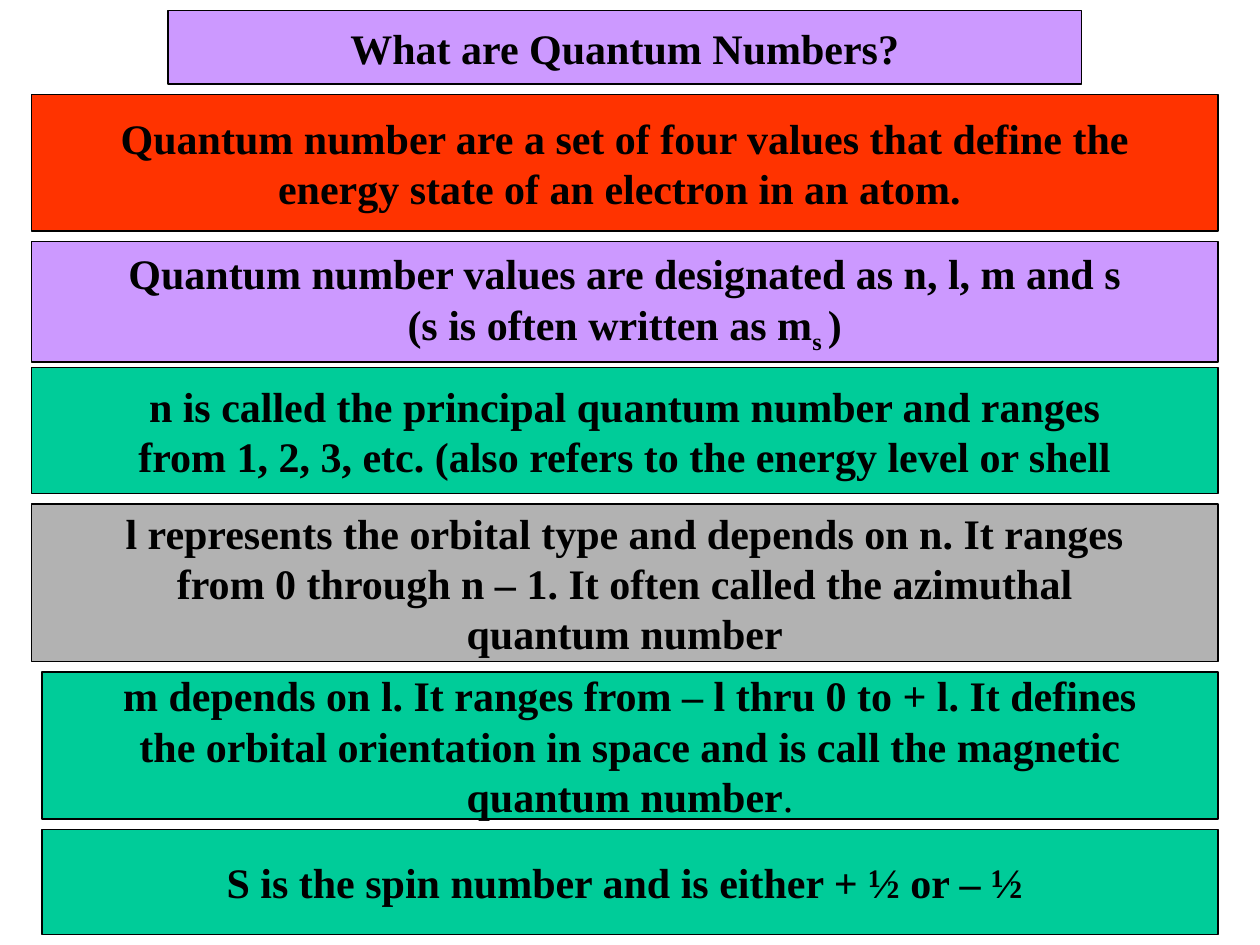
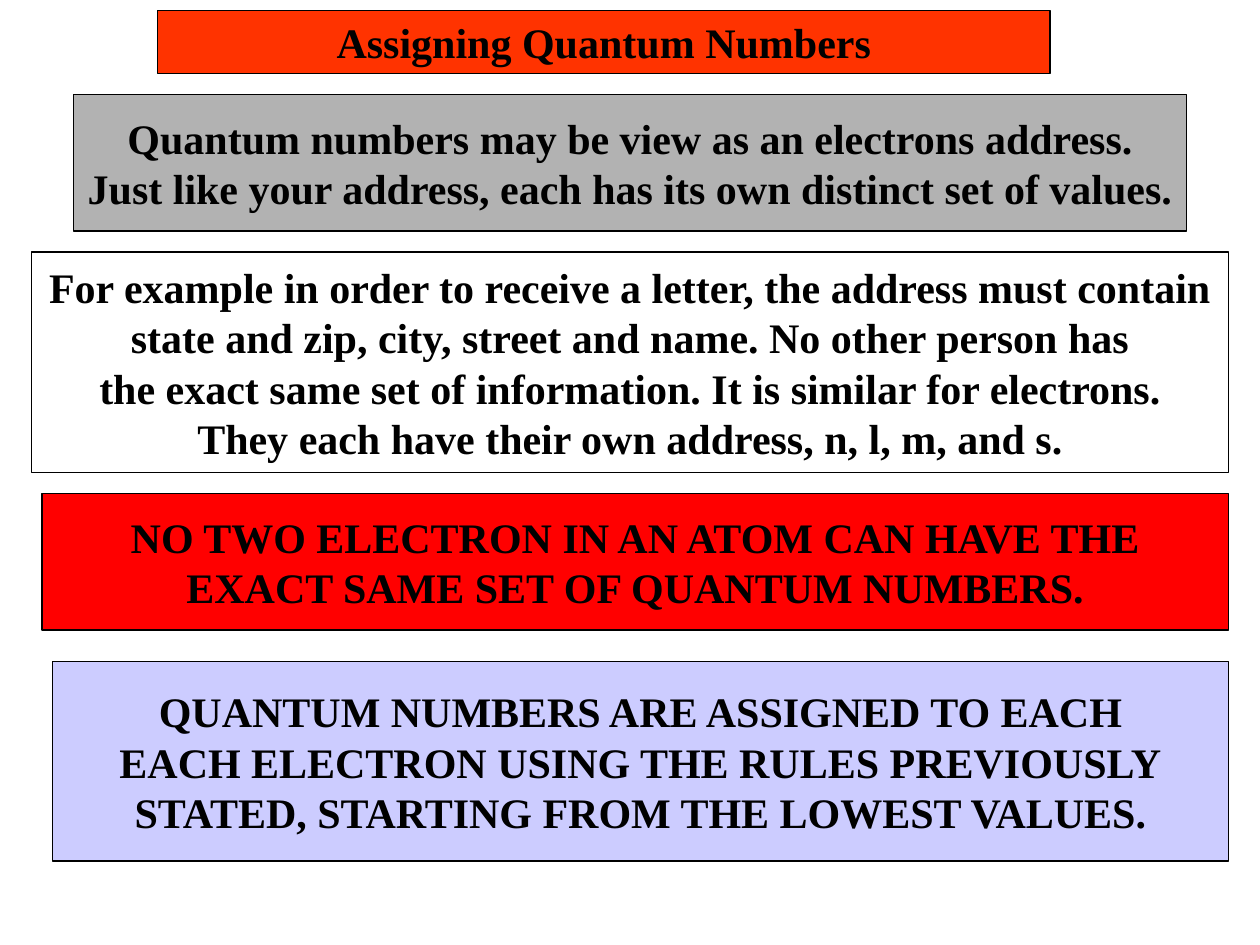
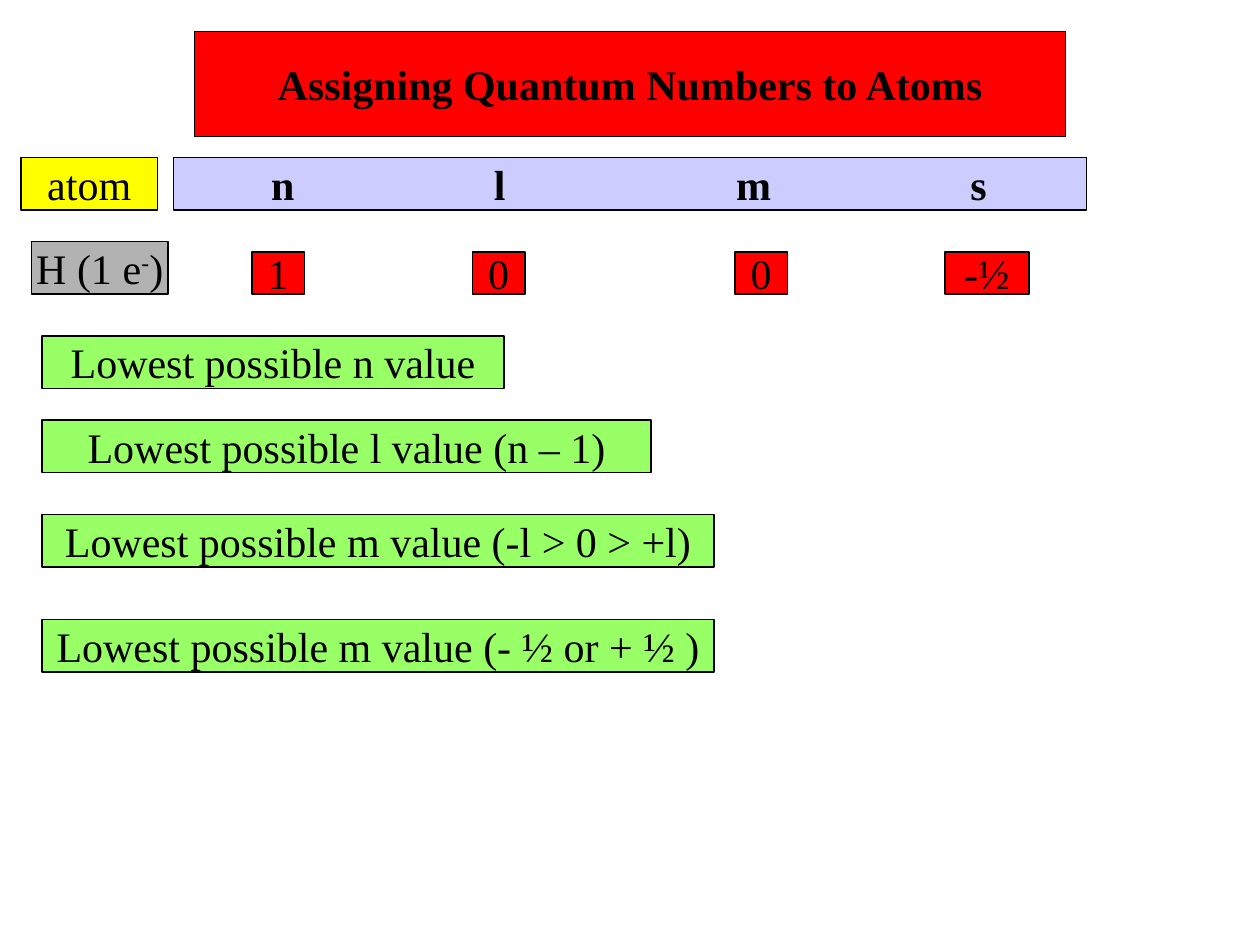
from lxml.etree import SubElement
from pptx import Presentation
from pptx.dml.color import RGBColor
from pptx.enum.shapes import MSO_SHAPE
from pptx.enum.text import MSO_ANCHOR, MSO_AUTO_SIZE, PP_ALIGN
from pptx.oxml.ns import qn
from pptx.util import Pt

COLORS = {
    "black": "000000", "white": "FFFFFF", "violet": "CC99FF", "orange": "FF3300",
    "green": "00CC99", "gray": "B2B2B2", "red": "FF0000", "lavender": "CCCCFF",
    "yellow": "FFFF00", "lime": "99FF66",
}
FONT = "Times New Roman"


def write(frame, lines, bold=False, align=PP_ALIGN.CENTER, wrap=False):
    """Fill the frame; a line is a string or a list of (text, bold, baseline percent) runs."""
    frame.word_wrap = wrap
    frame.auto_size = MSO_AUTO_SIZE.NONE
    frame.vertical_anchor = MSO_ANCHOR.MIDDLE
    for number, line in enumerate(lines):
        paragraph = frame.paragraphs[0] if number == 0 else frame.add_paragraph()
        paragraph.alignment = align
        runs = [(line, bold, 0)] if isinstance(line, str) else line
        for text, run_bold, baseline in runs:
            run = paragraph.add_run()
            run.text = text
            run.font.name = FONT
            run.font.size = Pt(24)
            run.font.bold = run_bold
            run.font.color.rgb = RGBColor.from_string(COLORS["black"])
            if baseline:
                run.font._element.set("baseline", str(baseline * 1000))


def add_panel(slide, place, color, lines, title=False, **text_format):
    """Place a filled, outlined panel, or turn the slide's title into one."""
    left, top, width, height = map(Pt, place)
    if title:
        panel = slide.shapes.title
        panel.left, panel.top, panel.width, panel.height = left, top, width, height
    else:
        panel = slide.shapes.add_shape(MSO_SHAPE.RECTANGLE, left, top, width, height)
        panel.shadow.inherit = False
    panel.fill.solid()
    panel.fill.fore_color.rgb = RGBColor.from_string(COLORS[color])
    panel.line.color.rgb = RGBColor.from_string(COLORS["black"])
    panel.line.width = Pt(0.75)
    write(panel.text_frame, lines, **text_format)
    return panel


prs = Presentation()
prs.slide_width, prs.slide_height = Pt(720), Pt(540)
title_only = prs.slide_layouts[5]

# Title and bold statements of the first two slides
statement_slides = [
    ("What are Quantum Numbers?", (96, 6, 522, 42), "violet", [
        ((18, 54, 678, 78), "orange", [
            "Quantum number are a set of four values that define the",
            "energy state of an electron in an atom. "]),
        ((18, 138, 678, 69), "violet", [
            "Quantum number values are designated as n, l, m and s",
            [("(s is often written as m", True, 0), ("s ", True, -25), (")", True, 0)]]),
        ((18, 210, 678, 72), "green", [
            "n is called the principal quantum number and ranges",
            "from 1, 2, 3, etc. (also refers to the energy level or shell"]),
        ((18, 288, 678, 90), "gray", [
            "l represents the orbital type and depends on n. It ranges",
            "from 0 through n – 1. It often called the azimuthal",
            "quantum number"]),
        ((24, 384, 672, 84), "green", [
            "m depends on l. It ranges from – l thru 0 to + l. It defines",
            "the orbital orientation in space and is call the magnetic",
            [("quantum number", True, 0), (".", False, 0)]]),
        ((24, 474, 672, 60), "green", [
            "S is the spin number and is either + ½ or – ½ "]),
    ]),
    ("Assigning Quantum Numbers", (90, 6, 510, 36), "orange", [
        ((42, 54, 636, 78), "gray", [
            "Quantum numbers may be view as an electrons address.",
            "Just like your address, each has its own distinct set of values."]),
        ((18, 144, 684, 126), "white", [
            "For example in order to receive a letter, the address must contain",
            "state and zip, city, street and name. No other person has",
            "the exact same set of information. It is similar for electrons.",
            "They each have their own address, n, l, m, and s."]),
        ((24, 282, 678, 78), "red", [
            "NO TWO ELECTRON IN AN ATOM CAN HAVE THE",
            "EXACT SAME SET OF QUANTUM NUMBERS."]),
        ((30, 378, 672, 114), "lavender", [
            "QUANTUM NUMBERS ARE ASSIGNED TO EACH",
            "EACH ELECTRON USING THE RULES PREVIOUSLY",
            "STATED, STARTING FROM THE LOWEST VALUES."]),
    ]),
]
for title, title_place, title_color, statements in statement_slides:
    slide = prs.slides.add_slide(title_only)
    add_panel(slide, title_place, title_color, [title], title=True, bold=True)
    for place, color, lines in statements:
        add_panel(slide, place, color, lines, bold=True)

# Quantum numbers of hydrogen
slide = prs.slides.add_slide(title_only)
add_panel(slide, (111, 18, 498, 60), "red", ["Assigning Quantum Numbers to Atoms"],
          title=True, bold=True)
symbols = add_panel(slide, (99, 90, 522, 30), "lavender", ["\tn\tl\tm\ts"],
                    bold=True, align=PP_ALIGN.LEFT, wrap=True)
tab_list = SubElement(symbols.text_frame.paragraphs[0]._p.get_or_add_pPr(), qn("a:tabLst"))
for stop in (55.5, 179.5, 324.5, 453):
    SubElement(tab_list, qn("a:tab"), pos=str(Pt(stop)), algn="ctr")

add_panel(slide, (12, 90, 78, 30), "yellow", ["atom"])
add_panel(slide, (18, 138, 78, 30), "gray",
          [[("H (1 e", False, 0), ("-", False, 30), (")", False, 0)]])
for left, width, value in [(144, 30, "1"), (270, 30, "0"), (420, 30, "0"), (540, 48, "-½")]:
    add_panel(slide, (left, 144, width, 24), "red", [value])
for top, width, rule in [
    (192, 264, "Lowest possible n value"),
    (240, 348, "Lowest possible l value (n – 1)"),
    (294, 384, "Lowest possible m value (-l > 0 > +l)"),
    (354, 384, "Lowest possible m value (- ½ or + ½ )"),
]:
    add_panel(slide, (24, top, width, 30), "lime", [rule])

prs.save("out.pptx")
